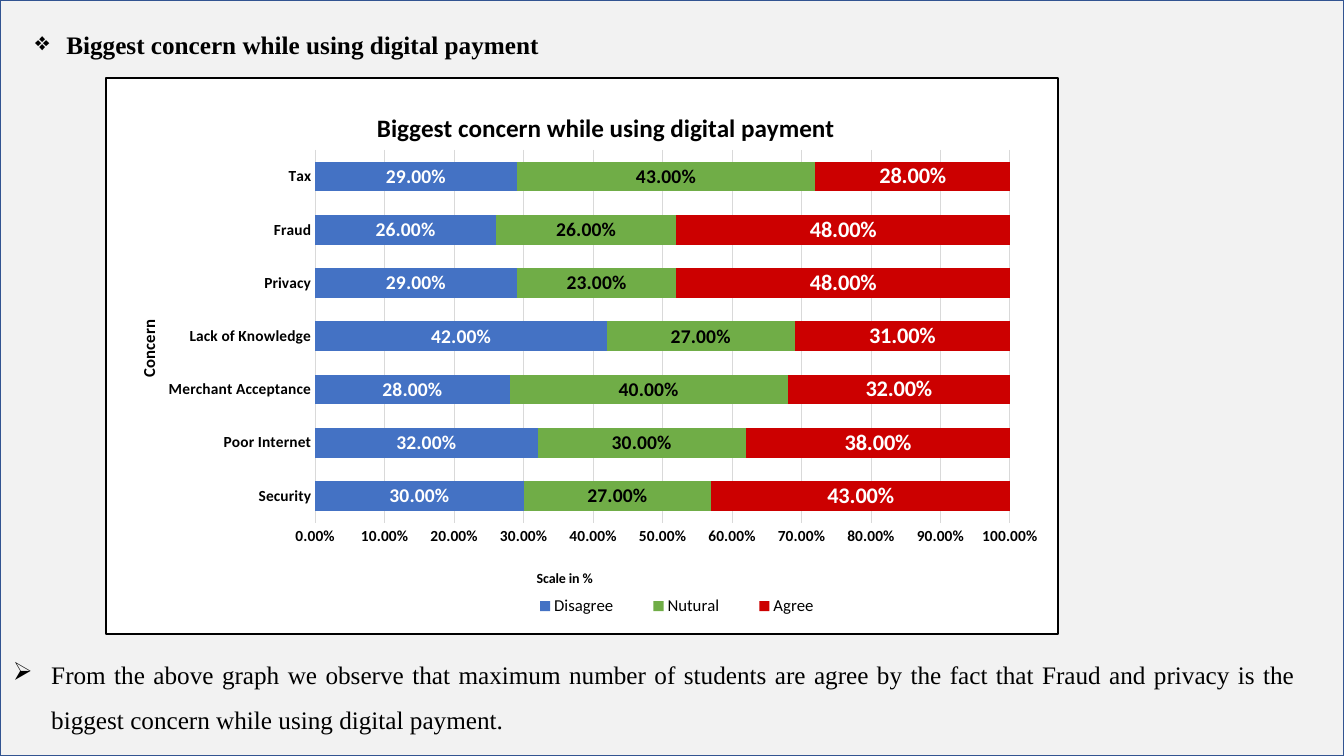
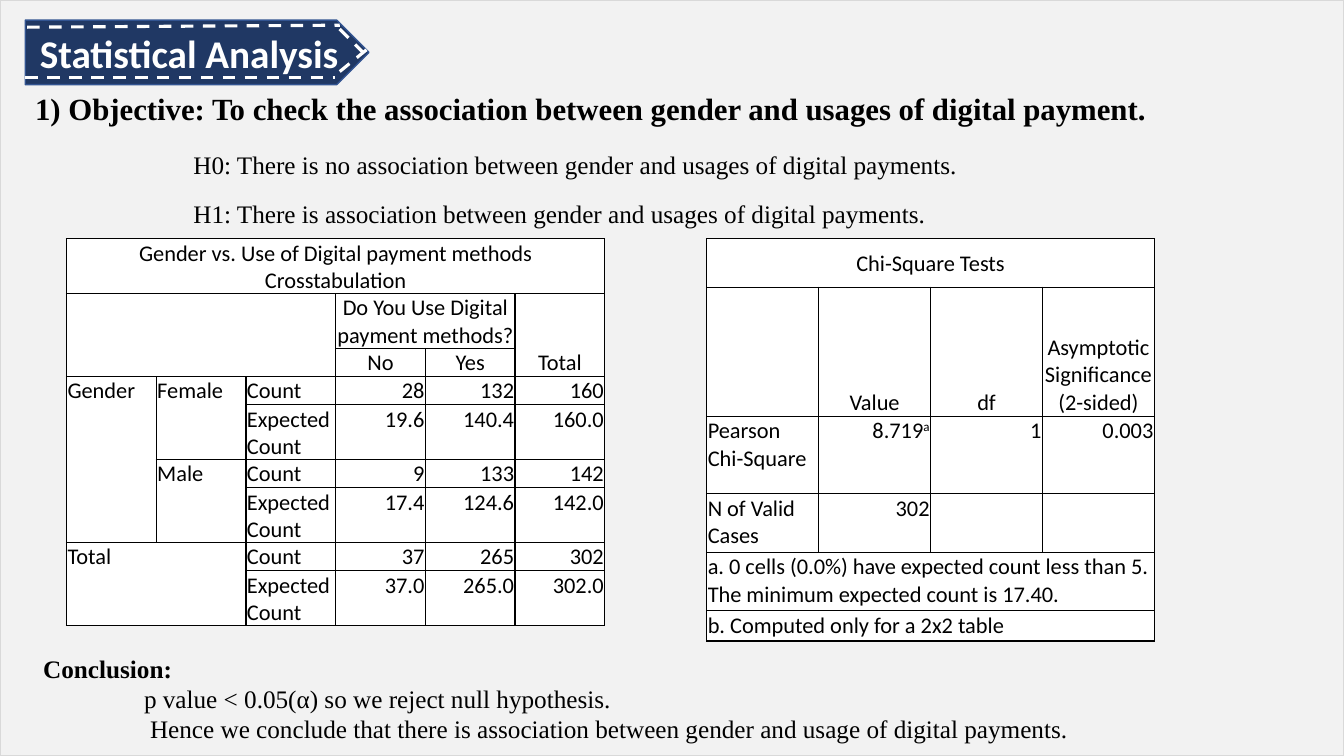
import pptx
import pptx.util
import pptx.chart.data
import pptx.dml.color
import pptx.enum.chart
import pptx.enum.dml
import pptx.enum.shapes
import pptx.enum.text
import pptx.oxml
import pptx.oxml.ns
import lxml.etree

Inches = pptx.util.Inches
Pt = pptx.util.Pt
qn = pptx.oxml.ns.qn
ALIGN = pptx.enum.text.PP_ALIGN
ANCHOR = pptx.enum.text.MSO_ANCHOR
SHAPE = pptx.enum.shapes.MSO_SHAPE
CHART = pptx.enum.chart

WIDTH, HEIGHT = 13.33, 7.5
BLACK, WHITE, PAPER, GRAY = "000000", "FFFFFF", "F2F2F2", "D9D9D9"
NAVY, EDGE = "203864", "325491"
SERIF = {"name": "Times New Roman", "size": 18, "color": BLACK, "bold": False}
SERIF_BOLD = {**SERIF, "bold": True}
SANS = {"name": "Calibri", "size": 16, "color": BLACK, "bold": False}
SANS_BOLD = {**SANS, "bold": True}

CONCERNS = ["Security", "Poor Internet", "Merchant Acceptance", "Lack of Knowledge",
            "Privacy", "Fraud", "Tax"]
ANSWERS = [
    ("Disagree", [0.3, 0.32, 0.28, 0.42, 0.29, 0.26, 0.29], "4472C4", WHITE, 14),
    ("Nutural", [0.27, 0.3, 0.4, 0.27, 0.23, 0.26, 0.43], "70AD47", BLACK, 14),
    ("Agree", [0.43, 0.38, 0.32, 0.31, 0.48, 0.48, 0.28], "CC0000", WHITE, 16),
]
CHART_TITLE = "Biggest concern while using digital payment"
CHART_HEADING = {
    "at": (0, 0.09, 6.67, 0.51),
    "paras": [(CHART_TITLE, SERIF_BOLD)],
    "bullet": ("❖", 0.56, -0.31),
    "layout": {"alignment": ALIGN.JUSTIFY, "line_spacing": 1.5, "space_after": Pt(10)},
}
CHART_FINDING = {
    "at": (0.03, 6.34, 12.92, 0.96),
    "paras": [("From the above graph we observe that maximum number of students are agree by the "
               "fact that Fraud and privacy is the biggest concern while using digital payment.",
               SERIF)],
    "bullet": ("➢", 0.38, -0.38),
    "layout": CHART_HEADING["layout"],
}
HYPOTHESES = {
    "at": (1.82, 1.39, 11.4, 0.92),
    "paras": [("H0: There is no association between gender and usages of digital payments.", SERIF),
              ("H1: There is association between gender and usages of digital payments.", SERIF)],
    "layout": {"line_spacing": 1.15, "space_after": Pt(10)},
}
CONCLUSION = {
    "at": (0.33, 6.43, 10.91, 1.01),
    "paras": [("Conclusion:", SERIF_BOLD),
              ("p value < 0.05(α) so we reject null hypothesis.", SERIF, 1),
              ("Hence we conclude that there is association between gender and usage of "
               "digital payments.", SERIF, 1.06)],
}
OBJECTIVE = {
    "at": (0.25, 0.84, 12.5, 0.47),
    "paras": [("1) Objective: To check the association between gender and usages of "
               "digital payment.", {**SERIF_BOLD, "size": 22})],
}
CROSSTAB = {
    "at": (0.66, 2.37), "column": 0.89, "header_rows": 3,
    "heights": [0.51, 0.42, 0.28, 0.28, 0.45, 0.28, 0.45, 0.28, 0.45],
    "rows": [
        ["Gender vs. Use of Digital payment methods Crosstabulation", "", "", "", "", ""],
        ["", "", "", "Do You Use Digital payment methods?", "", "Total"],
        ["", "", "", "No", "Yes", ""],
        ["Gender", "Female", "Count", "28", "132", "160"],
        ["", "", "Expected Count", "19.6", "140.4", "160.0"],
        ["", "Male", "Count", "9", "133", "142"],
        ["", "", "Expected Count", "17.4", "124.6", "142.0"],
        ["Total", "", "Count", "37", "265", "302"],
        ["", "", "Expected Count", "37.0", "265.0", "302.0"],
    ],
    "merges": [(0, 0, 0, 5), (1, 0, 2, 2), (1, 3, 1, 4), (1, 5, 2, 5),
               (3, 0, 6, 0), (3, 1, 4, 1), (5, 1, 6, 1), (7, 0, 8, 1)],
}
CHI_SQUARE = {
    "at": (7.01, 2.37), "column": 1.11, "header_rows": 2,
    "heights": [0.48, 1.28, 0.77, 0.58, 0.58, 0.3],
    "rows": [
        ["Chi-Square Tests", "", "", ""],
        ["", "Value", "df", "Asymptotic Significance (2-sided)"],
        ["Pearson Chi-Square", "8.719^a", "1", "0.003"],
        ["N of Valid Cases", "302", "", ""],
        ["a. 0 cells (0.0%) have expected count less than 5. "
         "The minimum expected count is 17.40.", "", "", ""],
        ["b. Computed only for a 2x2 table", "", "", ""],
    ],
    "merges": [(0, 0, 0, 3), (4, 0, 4, 3), (5, 0, 5, 3)],
}
STITCHES = [(0.25, 0.77, 3.32, 0.77), (0.27, 0.27, 3.37, 0.25),
            (3.61, 0.53, 3.36, 0.28), (3.37, 0.71, 3.64, 0.49)]


def rgb(value):
    return pptx.dml.color.RGBColor.from_string(value)


def apply(target, values):
    for name, value in values.items():
        setattr(target, name, value)


def set_font(font, style):
    apply(font, {"name": style["name"], "size": Pt(style["size"]), "bold": style["bold"]})
    font.color.rgb = rgb(style["color"])


def add_span(para, text, style):
    span = para.add_run()
    span.text = text
    set_font(span.font, style)
    return span


def paint(target, fill, line, weight):
    target.fill.solid()
    target.fill.fore_color.rgb = rgb(fill)
    target.line.color.rgb = rgb(line)
    target.line.width = Pt(weight)


def add_block(page, kind, at, fill, line):
    block = page.shapes.add_shape(kind, *map(Inches, at))
    block.shadow.inherit = False
    paint(block, fill, line, 1)
    return block


def add_page(deck, border):
    page = deck.slides.add_slide(deck.slide_layouts[6])
    add_block(page, SHAPE.RECTANGLE, (0, 0, WIDTH, HEIGHT), PAPER, border)
    return page


def indent(para, left, first=0):
    settings = para._p.get_or_add_pPr()
    settings.set("marL", str(Inches(left)))
    settings.set("indent", str(Inches(first)))
    return settings


def add_text(page, content):
    box = page.shapes.add_textbox(*map(Inches, content["at"]))
    frame = box.text_frame
    frame.word_wrap = True
    frame.auto_size = pptx.enum.text.MSO_AUTO_SIZE.SHAPE_TO_FIT_TEXT
    for index, (text, style, *left) in enumerate(content["paras"]):
        para = frame.add_paragraph() if index else frame.paragraphs[0]
        if left:
            indent(para, left[0])
        if "bullet" in content:
            mark, edge, first = content["bullet"]
            settings = indent(para, edge, first)
            lxml.etree.SubElement(settings, qn("a:buChar")).set("char", mark)
        apply(para, content.get("layout", {}))
        add_span(para, text, style)


def place(element, **shares):
    for old in element.findall(qn("c:layout")):
        element.remove(old)
    layout = lxml.etree.Element(qn("c:layout"))
    manual = lxml.etree.SubElement(layout, qn("c:manualLayout"))
    parts = {f"{side}Mode": "edge" for side in "xy"} | shares
    if element.tag == qn("c:plotArea"):
        parts = {"layoutTarget": "inner"} | parts
    for name, value in parts.items():
        lxml.etree.SubElement(manual, qn(f"c:{name}")).set("val", str(value))
    before = [child for child in element if child.tag in (qn("c:tx"), qn("c:legendPos"))]
    element.insert(len(before), layout)


def set_title(title, text, size, x, y):
    add_span(title.text_frame.paragraphs[0], text, {**SANS_BOLD, "size": size})
    place(title._element, x=x, y=y)


def add_concern_chart(page):
    data = pptx.chart.data.CategoryChartData(number_format="0.00%")
    data.categories = CONCERNS
    for name, values, *_ in ANSWERS:
        data.add_series(name, values)
    frame = page.shapes.add_chart(CHART.XL_CHART_TYPE.BAR_STACKED,
                                  *map(Inches, (1.04, 0.76, 9.46, 5.54)), data)
    chart = frame.chart
    set_font(chart.font, {**SANS, "size": 10})
    chart.has_title = True
    set_title(chart.chart_title, CHART_TITLE, 18, 0.28, 0.05)
    chart.has_legend = True
    apply(chart.legend, {"position": CHART.XL_LEGEND_POSITION.BOTTOM, "include_in_layout": False})
    set_font(chart.legend.font, {**SANS, "size": 12})
    place(chart.legend._element, x=0.42, y=0.92, w=0.36, h=0.06)

    plot = chart.plots[0]
    apply(plot, {"gap_width": 80, "overlap": 100, "vary_by_categories": False})
    for series, (_, _, fill, ink, size) in zip(plot.series, ANSWERS):
        series.format.fill.solid()
        series.format.fill.fore_color.rgb = rgb(fill)
        labels = series.data_labels
        apply(labels, {"show_value": True, "number_format": "0.00%",
                       "number_format_is_linked": False,
                       "position": CHART.XL_LABEL_POSITION.CENTER})
        set_font(labels.font, {**SANS_BOLD, "color": ink, "size": size})

    across, down = chart.value_axis, chart.category_axis
    for axis in (across, down):
        apply(axis, {"major_tick_mark": CHART.XL_TICK_MARK.NONE,
                     "minor_tick_mark": CHART.XL_TICK_MARK.NONE})
        set_font(axis.tick_labels.font, {**SANS_BOLD, "size": 11})
    apply(across, {"minimum_scale": 0, "maximum_scale": 1, "major_unit": 0.1,
                   "has_major_gridlines": True})
    apply(across.tick_labels, {"number_format": "0.00%", "number_format_is_linked": False})
    across.format.line.fill.background()
    for line in (across.major_gridlines.format.line, down.format.line):
        line.color.rgb = rgb(GRAY)
        line.width = Pt(0.75)
    set_title(across.axis_title, "Scale in %", 10, 0.45, 0.88)
    set_title(down.axis_title, "Concern", 12, 0.03, 0.43)
    next(down.axis_title._element.iter(qn("a:bodyPr"))).set("rot", "-5400000")

    body = chart._chartSpace.find(qn("c:chart"))
    place(body.find(qn("c:plotArea")), x=0.22, y=0.13, w=0.73, h=0.67)
    body.addnext(pptx.oxml.parse_xml(
        f'<c:spPr {pptx.oxml.ns.nsdecls("c", "a")}>'
        f'<a:solidFill><a:srgbClr val="{WHITE}"/></a:solidFill>'
        f'<a:ln w="{Pt(1.5)}"><a:solidFill><a:srgbClr val="{BLACK}"/></a:solidFill></a:ln>'
        '</c:spPr>'))


def border_cell(cell):
    settings = cell._tc.get_or_add_tcPr()
    for index, side in enumerate(("lnL", "lnR", "lnT", "lnB")):
        line = lxml.etree.Element(qn(f"a:{side}"), w=str(Pt(1)))
        fill = lxml.etree.SubElement(line, qn("a:solidFill"))
        lxml.etree.SubElement(fill, qn("a:srgbClr")).set("val", BLACK)
        settings.insert(index, line)


def fill_cell(cell, text, row, header_rows):
    apply(cell, {f"margin_{side}": Inches(0.01) for side in ("left", "right", "top")})
    cell.margin_bottom = 0
    cell.fill.solid()
    cell.fill.fore_color.rgb = rgb(WHITE)
    border_cell(cell)
    if not text:
        return
    para = cell.text_frame.paragraphs[0]
    if row < header_rows:
        para.alignment = ALIGN.CENTER
        cell.vertical_anchor = ANCHOR.BOTTOM if row else ANCHOR.MIDDLE
    elif text[0].isdigit():
        para.alignment = ALIGN.RIGHT
    main, _, raised = text.partition("^")
    add_span(para, main, SANS)
    if raised:
        add_span(para, raised, SANS).font._element.set("baseline", "30000")


def add_grid(page, content):
    rows, heights = content["rows"], content["heights"]
    count = len(rows[0])
    size = (content["column"] * count, sum(heights))
    grid = page.shapes.add_table(len(rows), count, *map(Inches, content["at"] + size)).table
    apply(grid, {"first_row": False, "horz_banding": False})
    for column in grid.columns:
        column.width = Inches(content["column"])
    for r, texts in enumerate(rows):
        grid.rows[r].height = Inches(heights[r])
        for c, text in enumerate(texts):
            fill_cell(grid.cell(r, c), text, r, content["header_rows"])
    for top, left, bottom, right in content["merges"]:
        grid.cell(top, left).merge(grid.cell(bottom, right))


def add_banner(page):
    banner = add_block(page, SHAPE.PENTAGON, (0.25, 0.2, 3.41, 0.64), NAVY, EDGE)
    apply(banner.text_frame, {"word_wrap": False, "vertical_anchor": ANCHOR.MIDDLE})
    para = banner.text_frame.paragraphs[0]
    para.alignment = ALIGN.CENTER
    add_span(para, "Statistical Analysis", {**SANS_BOLD, "size": 28, "color": WHITE})
    for ends in STITCHES:
        stitch = page.shapes.add_connector(pptx.enum.shapes.MSO_CONNECTOR.STRAIGHT,
                                           *map(Inches, ends))
        stitch.line.color.rgb = rgb(WHITE)
        apply(stitch.line, {"width": Pt(2.25), "dash_style": pptx.enum.dml.MSO_LINE.DASH})
        lxml.etree.SubElement(stitch._element.spPr, qn("a:effectLst"))


def main():
    deck = pptx.Presentation()
    apply(deck, {"slide_width": Inches(WIDTH), "slide_height": Inches(HEIGHT)})

    page = add_page(deck, EDGE)
    add_concern_chart(page)
    for content in (CHART_HEADING, CHART_FINDING):
        add_text(page, content)

    page = add_page(deck, GRAY)
    for content in (HYPOTHESES, CONCLUSION, OBJECTIVE):
        add_text(page, content)
    for content in (CROSSTAB, CHI_SQUARE):
        add_grid(page, content)
    add_banner(page)

    deck.save("out.pptx")


if __name__ == "__main__":
    main()
